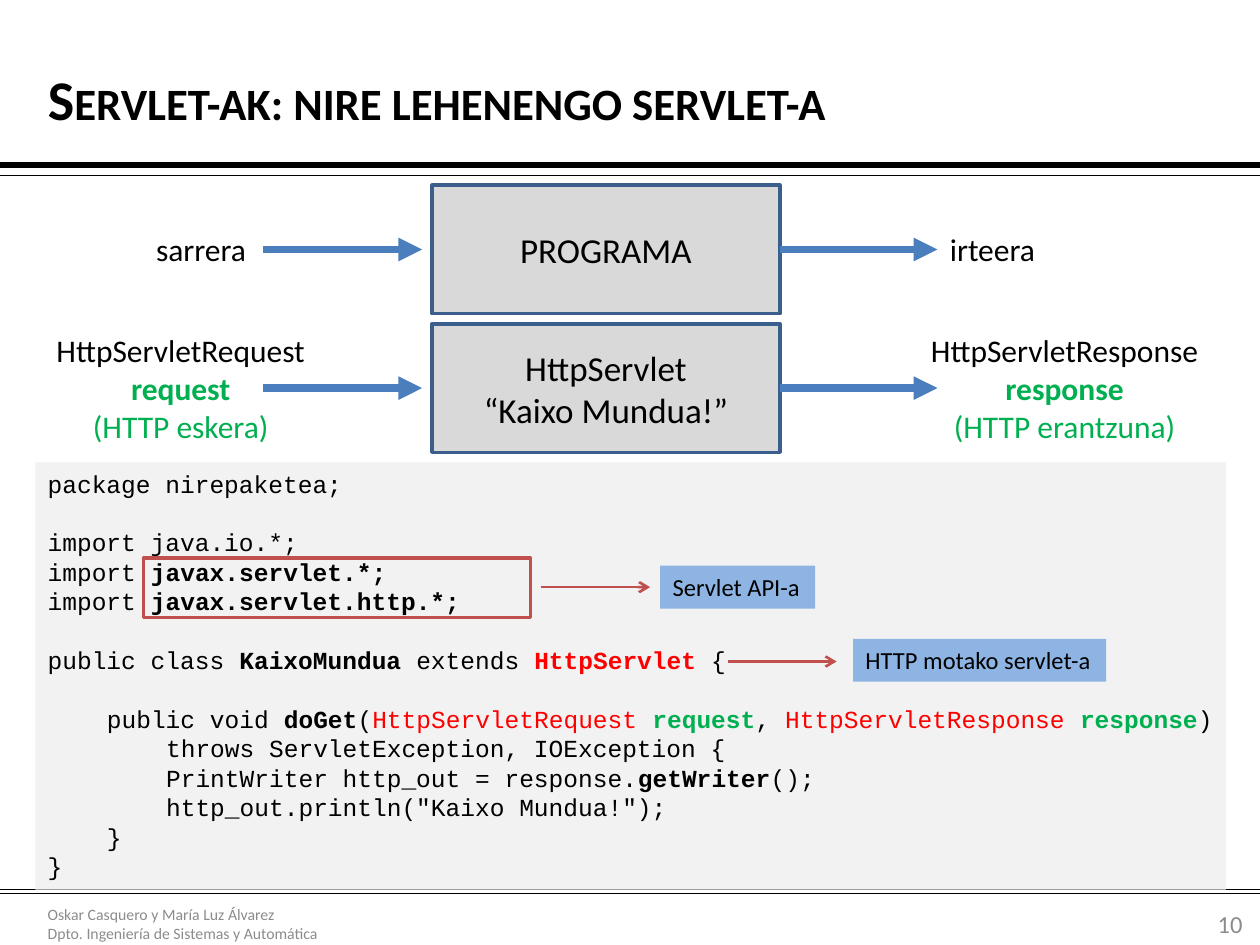
from lxml.etree import SubElement
from pptx import Presentation
from pptx.dml.color import RGBColor
from pptx.enum.shapes import MSO_CONNECTOR as Connector, MSO_SHAPE as Shape
from pptx.enum.text import MSO_ANCHOR as Anchor, MSO_AUTO_SIZE as AutoSize, PP_ALIGN as Align
from pptx.oxml.ns import qn
from pptx.util import Inches, Pt

COLORS = {
    "black": "000000", "muted": "8C8C8C", "green": "00B050", "red": "FF0000",
    "box": "D9D9D9", "box_line": "3A5F8C", "flow": "4B7EBC",
    "code": "F2F2F2", "mark": "C0504D", "label": "8EB4E3",
}
COLORS = {name: RGBColor.from_string(value) for name, value in COLORS.items()}


def add_line(shapes, x1, y1, x2, y2, color, width, head=None):
    line = shapes.add_connector(
        Connector.STRAIGHT, Inches(x1), Inches(y1), Inches(x2), Inches(y2))
    line.line.color.rgb = COLORS[color]
    line.line.width = Pt(width)
    properties = line._element.spPr
    if head:
        SubElement(properties.find(qn("a:ln")), qn("a:tailEnd"), type=head)
    SubElement(properties, qn("a:effectLst"))
    return line


def write_text(shape, lines, size, font="Calibri", color="black", align=Align.LEFT,
               anchor=Anchor.MIDDLE, wrap=True):
    """Each line is a list of runs: (text, color or None, bold)."""
    frame = shape.text_frame
    frame.word_wrap = wrap
    frame.vertical_anchor = anchor
    for index, runs in enumerate(lines):
        paragraph = frame.add_paragraph() if index else frame.paragraphs[0]
        paragraph.alignment = align
        paragraph.font.name = font
        paragraph.font.size = Pt(size)
        paragraph.font.color.rgb = COLORS[color]
        for text, run_color, bold in runs:
            run = paragraph.add_run()
            run.text = text
            if bold:
                run.font.bold = True
            if run_color:
                run.font.color.rgb = COLORS[run_color]
    return frame


presentation = Presentation()
presentation.slide_width = Inches(10)
presentation.slide_height = Inches(7.5)
slide = presentation.slides.add_slide(presentation.slide_layouts[5])
shapes = slide.shapes

# Header and footer rules
for y, width in [(1.31, 3), (1.39, 0.25), (7.06, 0.25), (7.09, 0.25)]:
    add_line(shapes, 0, y, 10, y, "black", width)

# Title
title = shapes.title
title.left, title.top, title.width, title.height = map(Inches, (0.28, 0.29, 9.45, 0.98))
write_text(title, [[("Servlet-ak: nire lehenengo servlet-a", None, True)]], 32)
title.text_frame.paragraphs[0].runs[0]._r.get_or_add_rPr().set("cap", "small")

# Footer and page number
footer = shapes.add_textbox(Inches(0.28), Inches(7.13), Inches(3.7), Inches(0.4))
write_text(footer, [[("Oskar Casquero y María Luz Álvarez", None, False)],
                    [("Dpto. Ingeniería de Sistemas y Automática", None, False)]],
           9, color="muted")
number = shapes.add_textbox(Inches(9.17), Inches(7.13), Inches(0.79), Inches(0.4))
write_text(number, [[("10", None, False)]], 14, color="muted", align=Align.RIGHT)

# Input, program and output: the general case, then the servlet
flows = [
    (1.47, ["PROGRAMA"], [
        (1.14, 1.78, 0.92, 0.4, [[("sarrera", None, False)]]),
        (7.44, 1.78, 0.88, 0.4, [[("irteera", None, False)]])]),
    (2.57, ["HttpServlet", "“Kaixo Mundua!”"], [
        (0.35, 2.58, 2.2, 1.01, [[("HttpServletRequest", None, False)],
                                 [("request", "green", True)],
                                 [("(HTTP eskera)", "green", False)]]),
        (7.29, 2.58, 2.35, 1.01, [[("HttpServletResponse", None, False)],
                                  [("response", "green", True)],
                                  [("(HTTP erantzuna)", "green", False)]])]),
]
for top, names, captions in flows:
    group = shapes.add_group_shape()
    box = group.shapes.add_shape(
        Shape.RECTANGLE, Inches(3.43), Inches(top), Inches(2.76), Inches(1.02))
    box.shadow.inherit = False
    box.fill.solid()
    box.fill.fore_color.rgb = COLORS["box"]
    box.line.color.rgb = COLORS["box_line"]
    box.line.width = Pt(2)
    write_text(box, [[(name, None, False)] for name in names], 20, align=Align.CENTER)

    middle = top + 0.51
    add_line(group.shapes, 2.09, middle, 3.35, middle, "flow", 4.5, "triangle")
    output = add_line(group.shapes, 6.19, middle, 7.44, middle, "flow", 4.5, "triangle")
    output.begin_connect(box, 3)

    for left, caption_top, width, height, lines in captions:
        caption = group.shapes.add_textbox(
            Inches(left), Inches(caption_top), Inches(width), Inches(height))
        frame = write_text(caption, lines, 18, anchor=Anchor.TOP, wrap=False)
        frame.auto_size = AutoSize.SHAPE_TO_FIT_TEXT
        for paragraph in frame.paragraphs[1:]:
            paragraph.alignment = Align.CENTER

# Code listing: (indent level, gap before, runs)
code = [
    (0, False, [("package nirepaketea;", None, False)]),
    (0, True, [("import java.io.*;", None, False)]),
    (0, False, [("import ", None, False), ("javax.servlet.*;", None, True)]),
    (0, False, [("import ", None, False), ("javax.servlet.http.*;", None, True)]),
    (0, True, [("public class ", None, False), ("KaixoMundua ", None, True),
               ("extends ", None, False), ("HttpServlet ", "red", True),
               ("{", None, False)]),
    (1, True, [("public void ", None, False), ("doGet", None, True), ("(", None, False),
               ("HttpServletRequest ", "red", False), ("request", "green", True),
               (", ", None, False), ("HttpServletResponse ", "red", False),
               ("response", "green", True), (")", None, False)]),
    (2, False, [("throws ServletException, IOException {", None, False)]),
    (2, False, [("PrintWriter http_out = response.", None, False),
                ("getWriter", None, True), ("();", None, False)]),
    (2, False, [('http_out.println("Kaixo Mundua!");', None, False)]),
    (1, False, [("}", None, False)]),
    (0, False, [("}", None, False)]),
]
listing = shapes.add_shape(
    Shape.RECTANGLE, Inches(0.28), Inches(3.67), Inches(9.45), Inches(3.39))
listing.shadow.inherit = False
listing.fill.solid()
listing.fill.fore_color.rgb = COLORS["code"]
listing.line.fill.background()
frame = write_text(listing, [runs for _, _, runs in code], 14, "Courier New",
                   anchor=Anchor.TOP, wrap=False)
for paragraph, (level, gap, _) in zip(frame.paragraphs, code):
    paragraph.line_spacing = Pt(16.8)
    paragraph.space_before = Pt(16.8 if gap else 0)
    paragraph._p.get_or_add_pPr().set("marL", str(Inches(0.47 * level)))

# Frame around the servlet imports
imports = shapes.add_shape(
    Shape.RECTANGLE, Inches(1.14), Inches(4.43), Inches(3.07), Inches(0.47))
imports.shadow.inherit = False
imports.fill.background()
imports.line.color.rgb = COLORS["mark"]
imports.line.width = Pt(2)

# Notes on the code, each with its arrow
notes = [
    ("Servlet API-a", 5.24, 4.49, 1.23, 4.29, 5.16, 4.66),
    ("HTTP motako servlet-a", 6.77, 5.07, 2.01, 5.78, 6.64, 5.25),
]
for text, left, top, width, start, end, y in notes:
    add_line(shapes, start, y, end, y, "mark", 1.5, "arrow")
    note = shapes.add_textbox(Inches(left), Inches(top), Inches(width), Inches(0.34))
    note.fill.solid()
    note.fill.fore_color.rgb = COLORS["label"]
    frame = write_text(note, [[(text, None, False)]], 14, anchor=Anchor.TOP, wrap=False)
    frame.auto_size = AutoSize.SHAPE_TO_FIT_TEXT

presentation.save("out.pptx")
